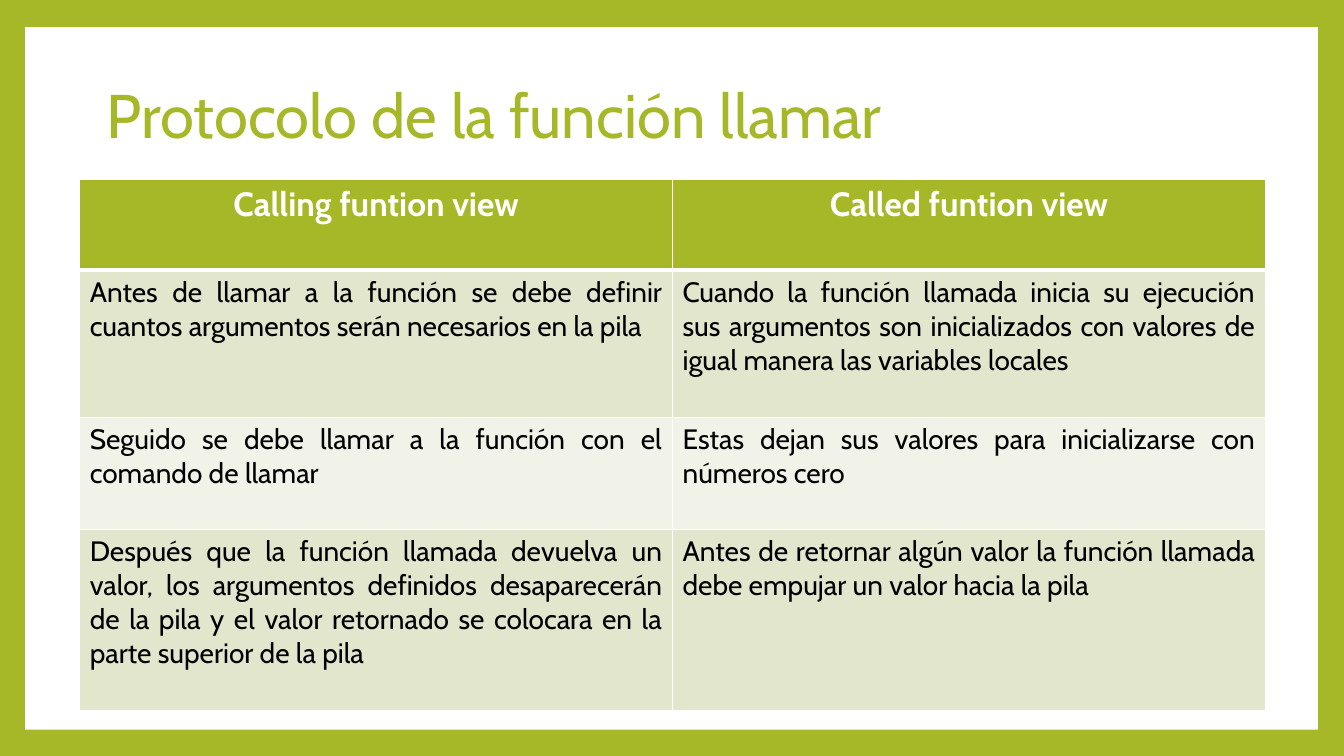
import pptx
import pptx.util
import pptx.dml.color
import pptx.enum.shapes
import pptx.enum.text
import pptx.oxml
import pptx.oxml.ns
from pptx.util import Inches

RGBColor = pptx.dml.color.RGBColor
ALIGN = pptx.enum.text.PP_ALIGN
ANCHOR = pptx.enum.text.MSO_ANCHOR

GREEN = RGBColor(0xA6, 0xB7, 0x27)
WHITE = RGBColor(0xFF, 0xFF, 0xFF)
BLACK = RGBColor(0x00, 0x00, 0x00)
BAND_DARK = RGBColor(0xE1, 0xE6, 0xCD)
BAND_LIGHT = RGBColor(0xF1, 0xF3, 0xE8)


class SlideBuilder:
    """Holds the style and the current slide."""

    font = "Cabin"

    def __init__(self, prs):
        self.s = prs.slides.add_slide(prs.slide_layouts[6])

    def background(self, color):
        fill = self.s.background.fill
        fill.solid()
        fill.fore_color.rgb = color

    def panel(self, left, top, width, height, color):
        sp = self.s.shapes.add_shape(
            pptx.enum.shapes.MSO_SHAPE.RECTANGLE,
            Inches(left), Inches(top), Inches(width), Inches(height))
        sp.shadow.inherit = False
        sp.fill.solid()
        sp.fill.fore_color.rgb = color
        sp.line.fill.background()

    def add_text(self, tf, text, size, color, align=ALIGN.LEFT, bold=False):
        p = tf.paragraphs[0]
        p.alignment = align
        r = p.add_run()
        r.text = text
        r.font.name = self.font
        r.font.size = pptx.util.Pt(size)
        r.font.bold = bold
        r.font.color.rgb = color
        return p

    def title(self, left, top, width, height, text):
        sp = self.s.shapes.add_textbox(
            Inches(left), Inches(top), Inches(width), Inches(height))
        tf = sp.text_frame
        tf.word_wrap = True
        tf.vertical_anchor = ANCHOR.MIDDLE
        self.add_text(tf, text, 44, GREEN).line_spacing = 0.9

    def borders(self, cell, widths):
        tc_pr = cell._tc.get_or_add_tcPr()
        for i, (side, width) in enumerate(widths.items()):
            ln = pptx.oxml.parse_xml(
                f'<a:ln{side} {pptx.oxml.ns.nsdecls("a")} '
                f'w="{pptx.util.Pt(width)}"><a:solidFill>'
                f'<a:srgbClr val="{WHITE}"/></a:solidFill></a:ln{side}>')
            tc_pr.insert(i, ln)

    def table(self, left, top, col_width, row_heights, rows):
        cols = len(rows[0])
        table = self.s.shapes.add_table(
            len(rows), cols, Inches(left), Inches(top),
            Inches(col_width * cols), Inches(sum(row_heights))).table
        for col in table.columns:
            col.width = Inches(col_width)
        for i, (height, texts) in enumerate(zip(row_heights, rows)):
            table.rows[i].height = Inches(height)
            header = i == 0
            band = BAND_DARK if i % 2 else BAND_LIGHT
            for j, text in enumerate(texts):
                cell = table.cell(i, j)
                cell.fill.solid()
                cell.fill.fore_color.rgb = GREEN if header else band
                if header:
                    self.add_text(cell.text_frame, text, 24, WHITE,
                                  ALIGN.CENTER, bold=True)
                else:
                    self.add_text(cell.text_frame, text, 20, BLACK,
                                  ALIGN.JUSTIFY)
                # Thick rule between the header and the body
                self.borders(cell, {"L": 1, "R": 1, "T": 3 if i == 1 else 1,
                                    "B": 3 if header else 1})


prs = pptx.Presentation()
prs.slide_width = Inches(13.33)
prs.slide_height = Inches(7.5)
slide = SlideBuilder(prs)

# Green frame around a white panel
slide.background(GREEN)
slide.panel(0.25, 0.27, 12.82, 6.97, WHITE)

# Title
slide.title(0.96, 0.36, 10.63, 1.64, "Protocolo de la función llamar")

# Comparison table
slide.table(0.79, 1.78, 5.88, [0.9, 1.46, 1.11, 1.8], [
    ("Calling funtion view", "Called funtion view"),
    ("Antes de llamar a la función se debe definir cuantos argumentos serán "
     "necesarios en la pila",
     "Cuando la función llamada inicia su ejecución sus argumentos son "
     "inicializados con valores de igual manera las variables locales"),
    ("Seguido se debe llamar a la función con el comando de llamar",
     "Estas dejan sus valores para inicializarse con números cero"),
    ("Después que la función llamada devuelva un valor, los argumentos "
     "definidos desaparecerán de la pila y el valor retornado se colocara en "
     "la parte superior de la pila",
     "Antes de retornar algún valor la función llamada debe empujar un valor "
     "hacia la pila"),
])

prs.save("out.pptx")
